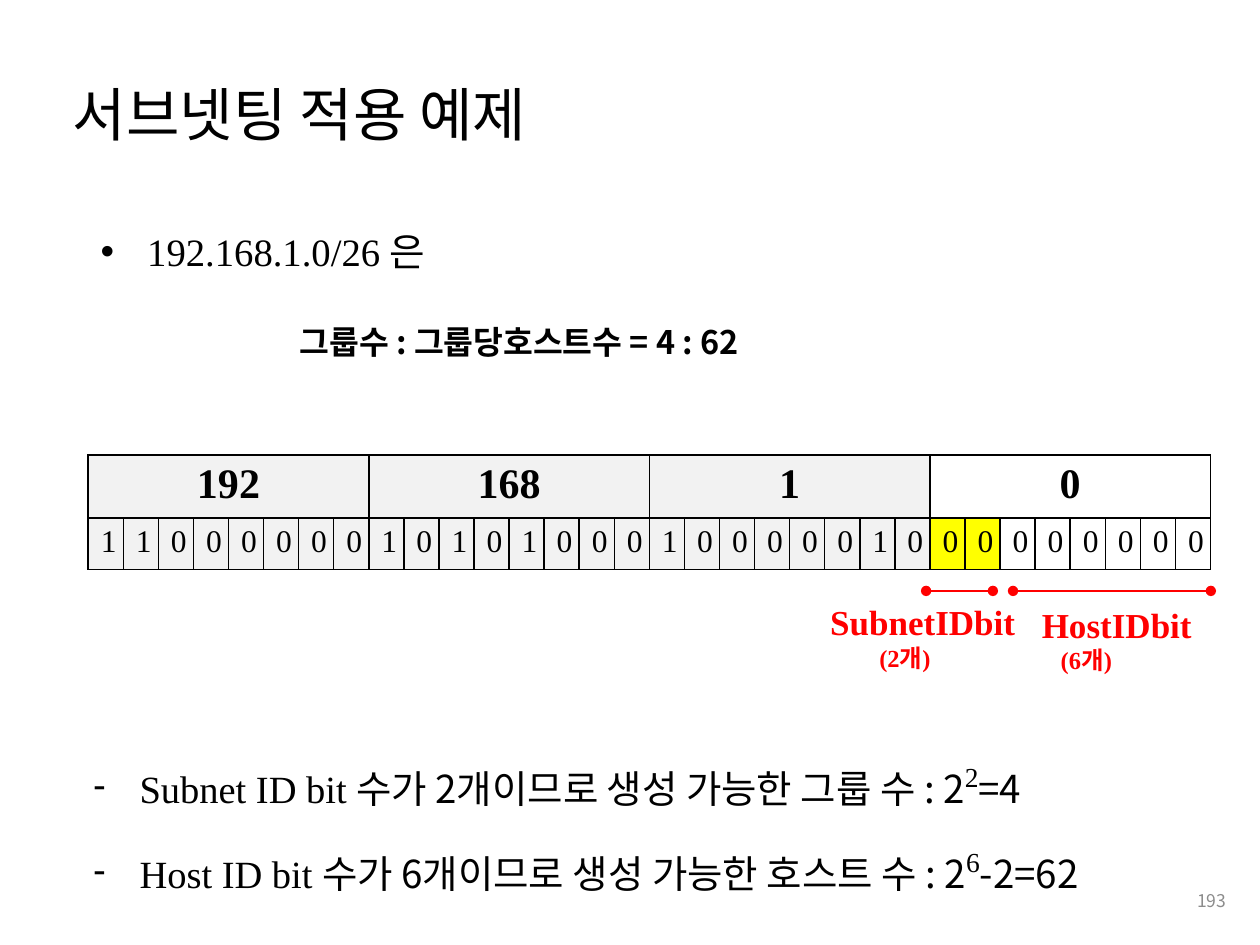
from lxml.etree import SubElement
from pptx import Presentation
from pptx.dml.color import RGBColor
from pptx.enum.shapes import MSO_CONNECTOR as Connector
from pptx.enum.text import MSO_ANCHOR as Anchor, MSO_AUTO_SIZE as AutoSize, PP_ALIGN as Align
from pptx.oxml.ns import qn
from pptx.util import Inches, Pt

BLACK = RGBColor(0x00, 0x00, 0x00)
RED = RGBColor(0xFF, 0x00, 0x00)
YELLOW = RGBColor(0xFF, 0xFF, 0x00)
PALE_GRAY = RGBColor(0xF2, 0xF2, 0xF2)
GRAY = RGBColor(0x8C, 0x8C, 0x8C)
SANS = "Noto Sans CJK KR"
SERIF = "Times New Roman"


def add_run(paragraph, text, size=18, font=SERIF, color=BLACK, bold=False, raised=0):
    run = paragraph.add_run()
    run.text = text
    run.font.size = Pt(size)
    run.font.name = font
    run.font.bold = bold
    run.font.color.rgb = color
    properties = run.font._element
    properties.set("kern", "0")
    SubElement(properties, qn("a:ea")).set("typeface", SANS)
    if raised:
        properties.set("baseline", str(raised * 1000))


class SlideBuilder:
    """Hold the style and the current slide, and add each kind of element."""

    def __init__(self, presentation):
        self.slide = presentation.slides.add_slide(presentation.slide_layouts[6])
        self.bit_count = 8

    def text_box(self, left, top, width, height, wrap=False, anchor=Anchor.TOP):
        box = self.slide.shapes.add_textbox(
            Inches(left), Inches(top), Inches(width), Inches(height))
        frame = box.text_frame
        frame.word_wrap = wrap
        frame.auto_size = AutoSize.NONE if wrap else AutoSize.SHAPE_TO_FIT_TEXT
        frame.vertical_anchor = anchor
        return frame

    def label(self, text, box, wrap=False, anchor=Anchor.TOP, align=Align.LEFT,
              spacing=1.0, **style):
        paragraph = self.text_box(*box, wrap=wrap, anchor=anchor).paragraphs[0]
        paragraph.alignment = align
        paragraph.line_spacing = spacing
        add_run(paragraph, text, **style)

    def bullets(self, items, box, character, size, spacing=1.0):
        frame = self.text_box(*box)
        for index, runs in enumerate(items):
            paragraph = frame.add_paragraph() if index else frame.paragraphs[0]
            paragraph.line_spacing = spacing
            properties = paragraph._p.get_or_add_pPr()
            properties.set("marL", str(Inches(0.37)))
            properties.set("indent", str(-Inches(0.37)))
            SubElement(properties, qn("a:buFont")).set("typeface", "Arial")
            SubElement(properties, qn("a:buChar")).set("char", character)
            for text, style in runs:
                add_run(paragraph, text, **{"size": size, **style})

    def bit_caption(self, name, count, indent, box):
        frame = self.text_box(*box)
        add_run(frame.paragraphs[0], name, size=20, color=RED, bold=True)
        paragraph = frame.add_paragraph()
        paragraph._p.get_or_add_pPr().set("marL", str(Inches(indent)))
        add_run(paragraph, count, size=14, color=RED, bold=True)

    def bit_span(self, start, end, top):
        line = self.slide.shapes.add_connector(
            Connector.STRAIGHT, Inches(start), Inches(top), Inches(end), Inches(top))
        line.line.color.rgb = RED
        line.line.width = Pt(1.5)
        outline = line.line._get_or_add_ln()
        for tag in ("a:headEnd", "a:tailEnd"):
            SubElement(outline, qn(tag)).set("type", "oval")
        SubElement(line._element.spPr, qn("a:effectLst"))

    def cell(self, cell, text, fill, align=Align.LEFT, **style):
        paragraph = cell.text_frame.paragraphs[0]
        paragraph.alignment = align
        add_run(paragraph, text, **style)
        self.paint(cell, fill)

    def paint(self, cell, fill):
        properties = cell._tc.get_or_add_tcPr()
        for side in ("a:lnL", "a:lnR", "a:lnT", "a:lnB"):
            border = SubElement(properties, qn(side), w=str(Pt(1)))
            solid = SubElement(border, qn("a:solidFill"))
            SubElement(solid, qn("a:srgbClr")).set("val", str(BLACK))
        if fill is None:
            cell.fill.background()
        else:
            cell.fill.solid()
            cell.fill.fore_color.rgb = fill

    def address_table(self, octets, bits, prefix, box):
        left, top, width, height = map(Inches, box)
        table = self.slide.shapes.add_table(2, len(bits), left, top, width, height).table
        table.first_row = table.horz_banding = False
        table.rows[0].height, table.rows[1].height = Inches(0.5), Inches(0.41)
        for column in table.columns:
            column.width = width // len(bits)
        network_bits = prefix // self.bit_count * self.bit_count
        for index, octet in enumerate(octets):
            first = index * self.bit_count
            last = first + self.bit_count - 1
            fill = PALE_GRAY if first < network_bits else None
            table.cell(0, first).merge(table.cell(0, last))
            self.cell(table.cell(0, first), octet, fill, Align.CENTER, size=24, bold=True)
            for column in range(first + 1, last + 1):
                self.paint(table.cell(0, column), fill)
        for column, bit in enumerate(bits):
            fill = PALE_GRAY if column < network_bits else YELLOW if column < prefix else None
            self.cell(table.cell(1, column), bit, fill)


def main():
    presentation = Presentation()
    presentation.slide_width = Inches(10)
    presentation.slide_height = Inches(7.5)
    builder = SlideBuilder(presentation)
    sans = {"font": SANS}
    exponent = {"size": 27, "raised": 35}

    builder.label("서브넷팅 적용 예제", (0.48, 0.21, 8.62, 1.45), wrap=True,
                  anchor=Anchor.MIDDLE, spacing=0.9, size=33.2, font=SANS)
    builder.label("그룹수 : 그룹당호스트수 = 4 : 62", (2.28, 2.51, 3.94, 0.41),
                  size=18.5, font=SANS, bold=True)
    builder.bullets([[("192.168.1.0/26 ", {}), ("은", sans)]],
                    (0.7, 1.76, 3.08, 0.47), "•", 22.1)

    builder.address_table(["192", "168", "1", "0"], "11000000101010001000001000000000",
                          26, (0.7, 3.61, 8.91, 0.91))
    builder.bit_span(7.35, 7.88, 4.69)
    builder.bit_caption("SubnetIDbit", "(2개)", 0.39, (6.49, 4.72, 1.68, 0.67))
    builder.bit_span(8.04, 9.61, 4.69)
    builder.bit_caption("HostIDbit", "(6개)", 0.15, (8.17, 4.74, 1.4, 1.01))

    builder.bullets([
        [("Subnet ID bit ", {}), ("수가 2개이므로 생성 가능한 그룹 수 : 2", sans),
         ("2", exponent), ("=4", sans)],
        [("Host ID bit ", {}), ("수가 6개이므로 생성 가능한 호스트 수 : 2", sans),
         ("6", exponent), ("-2=62", sans)],
    ], (0.64, 5.73, 8.67, 1.21), "-", 22, spacing=1.5)
    builder.label("193", (7.58, 6.95, 2.25, 0.4), wrap=True, anchor=Anchor.MIDDLE,
                  align=Align.RIGHT, size=10, font=SANS, color=GRAY)

    presentation.save("out.pptx")


if __name__ == "__main__":
    main()
